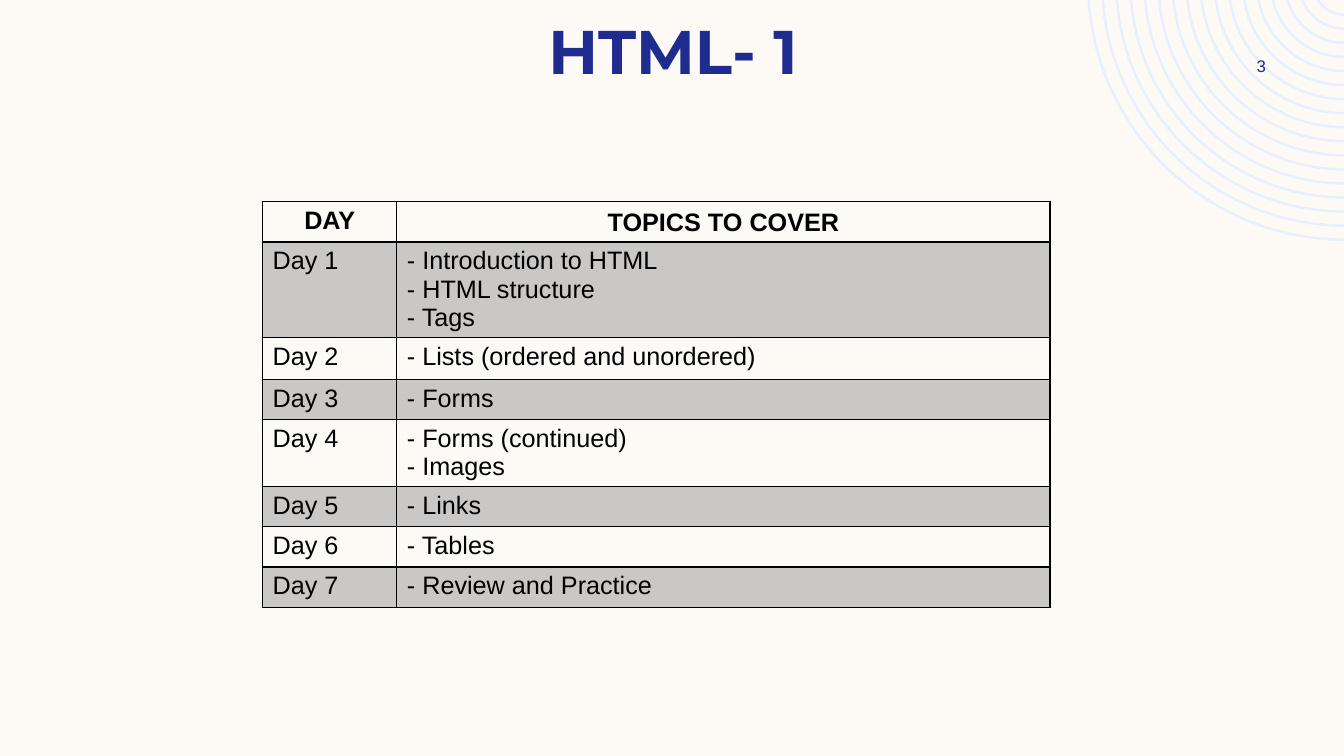
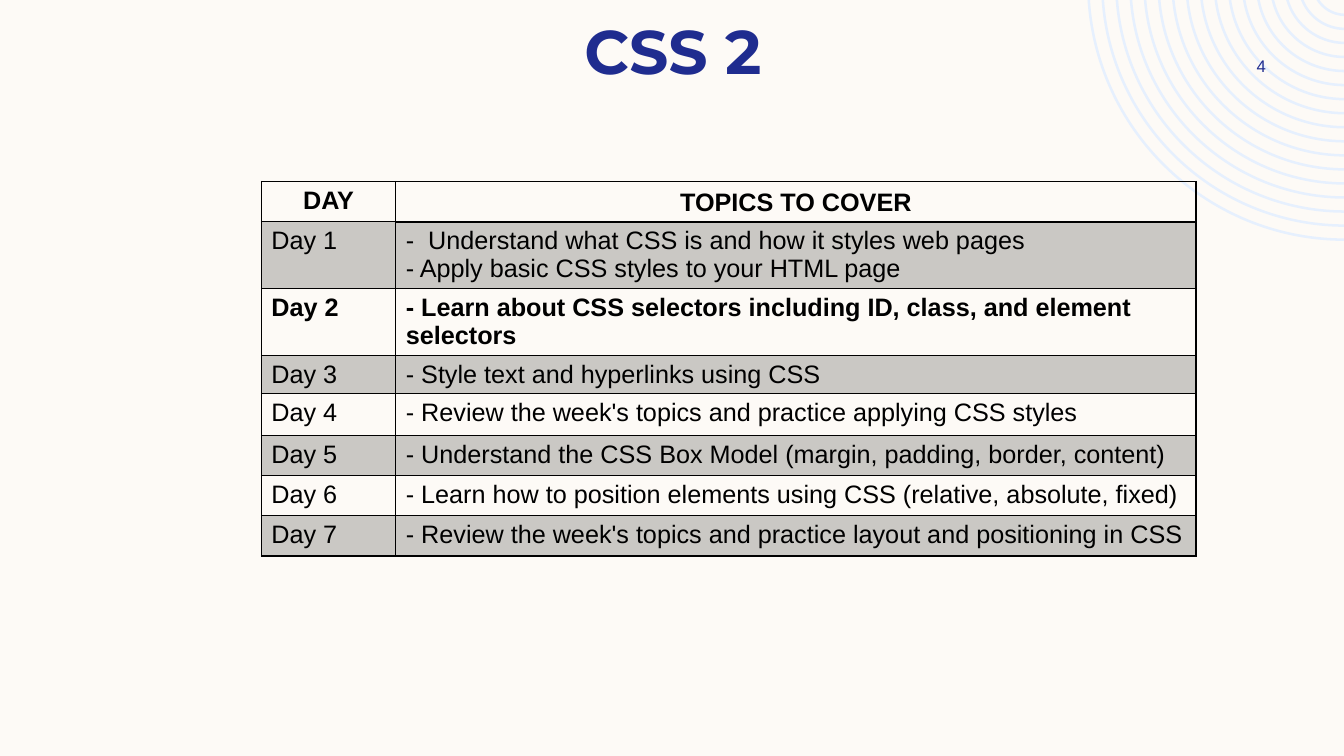
from math import acos, asin, cos, sin, tan

from lxml.etree import SubElement
from pptx import Presentation
from pptx.dml.color import RGBColor
from pptx.enum.text import MSO_ANCHOR as ANCHOR, PP_ALIGN as ALIGN
from pptx.oxml.ns import qn
from pptx.util import Inches, Pt

# Shared style
CREAM = RGBColor(0xFD, 0xFA, 0xF6)
NAVY = RGBColor(0x1F, 0x2C, 0x8F)
PALE_BLUE = RGBColor(0xE6, 0xF0, 0xFE)
BLACK = RGBColor(0x00, 0x00, 0x00)
TITLE_FONT, BODY_FONT = "Montserrat", "Arial"
W, H = Inches(13.33), Inches(7.5)

# Corner rings
RING_COUNT = 17
RING_X, RING_Y = Inches(13.34), Inches(-0.17)
RING_MIN, RING_MAX, RING_WIDTH = Inches(0.33), Inches(2.56), Pt(1.8)

# Content: one list of topic lines per day
HTML_DAYS = [
    ["- Introduction to HTML", "- HTML structure", "- Tags"],
    ["- Lists (ordered and unordered)"],
    ["- Forms"],
    ["- Forms (continued)", "- Images"],
    ["- Links"],
    ["- Tables"],
    ["- Review and Practice"],
]
CSS_DAYS = [
    ["-  Understand what CSS is and how it styles web pages",
     "- Apply basic CSS styles to your HTML page"],
    ["- Learn about CSS selectors including ID, class, and element selectors"],
    ["- Style text and hyperlinks using CSS"],
    ["- Review the week's topics and practice applying CSS styles"],
    ["- Understand the CSS Box Model (margin, padding, border, content)"],
    ["- Learn how to position elements using CSS (relative, absolute, fixed)"],
    ["- Review the week's topics and practice layout and positioning in CSS"],
]


def px(share):
    """Percent of the slide's width."""
    return int(W * share / 100)


def py(share):
    """Percent of the slide's height."""
    return int(H * share / 100)


def add_text(tf, lines, size, font, color, bold=False, align=ALIGN.LEFT):
    for i, line in enumerate(lines):
        p = tf.paragraphs[0] if i == 0 else tf.add_paragraph()
        p.alignment = align
        r = p.add_run()
        r.text = line
        r.font.size, r.font.name, r.font.bold = Pt(size), font, bold
        r.font.color.rgb = color


def add_label(s, left, top, width, height, text, size, font, bold, anchor):
    tf = s.shapes.add_textbox(px(left), py(top), px(width), py(height)).text_frame
    tf.word_wrap = True
    tf.vertical_anchor = anchor
    add_text(tf, [text], size, font, NAVY, bold, ALIGN.CENTER)


def arc(radius):
    """Bezier points of the part of a circle that lies on the slide."""
    a, b = asin(-RING_Y / radius), acos((RING_X - W) / radius)
    k = radius * 4 / 3 * tan((b - a) / 4)
    x0, y0 = RING_X - radius * cos(a), RING_Y + radius * sin(a)
    x1, y1 = RING_X - radius * cos(b), RING_Y + radius * sin(b)
    return [(x0, y0), (x0 + k * sin(a), y0 + k * cos(a)),
            (x1 - k * sin(b), y1 - k * cos(b)), (x1, y1)]


def bend(line, points, sp):
    """Turn a straight segment of the freeform into a curve."""
    curve = line.makeelement(qn("a:cubicBezTo"))
    for x, y in points:
        SubElement(curve, qn("a:pt"), x=str(round(x - sp.left)), y=str(round(y - sp.top)))
    line.getparent().replace(line, curve)


def add_rings(s):
    builder, arcs = None, []
    for i in range(RING_COUNT):
        radius = RING_MIN + (RING_MAX - RING_MIN) * i / (RING_COUNT - 1)
        outer, inner = arc(radius), arc(radius - RING_WIDTH)[::-1]
        arcs += [outer, inner]
        if builder is None:
            builder = s.shapes.build_freeform(*outer[0])
        else:
            builder.move_to(*outer[0])
        builder.add_line_segments([outer[-1], inner[0], inner[-1]], close=True)
    sp = builder.convert_to_shape()
    # Segments per ring: outer arc, short edge, inner arc
    lines = list(sp._element.iter(qn("a:lnTo")))
    curved = [line for i, line in enumerate(lines) if i % 3 != 1]
    for line, points in zip(curved, arcs):
        bend(line, points[1:], sp)
    sp.shadow.inherit = False
    sp.fill.solid()
    sp.fill.fore_color.rgb = PALE_BLUE
    sp.line.fill.background()


def add_border(cell, side, width):
    ln = SubElement(cell._tc.get_or_add_tcPr(), qn(f"a:ln{side}"), w=str(Pt(width)))
    fill = SubElement(ln, qn("a:solidFill"))
    SubElement(fill, qn("a:srgbClr"), val=str(BLACK))


def fill_cell(cell, shaded):
    if not shaded:
        cell.fill.background()
        return
    cell.fill.solid()
    cell.fill.fore_color.rgb = BLACK
    color = cell._tc.tcPr.find(qn("a:solidFill")).find(qn("a:srgbClr"))
    SubElement(color, qn("a:alpha"), val="20000")


def add_schedule(s, left, top, topics_width, days, heights, bold_day=None):
    widths = [10, topics_width]
    rows = [(["DAY"], ["TOPICS TO COVER"])]
    rows += [([f"Day {n}"], topics) for n, topics in enumerate(days, 1)]
    table = s.shapes.add_table(len(rows), 2, px(left), py(top),
                               px(sum(widths)), py(sum(heights))).table
    table.first_row = table.horz_banding = False
    for column, width in zip(table.columns, widths):
        column.width = px(width)
    for i, (row, height) in enumerate(zip(rows, heights)):
        table.rows[i].height = py(height)
        header = i == 0
        for j, lines in enumerate(row):
            cell = table.cell(i, j)
            add_text(cell.text_frame, lines, 18, BODY_FONT, BLACK,
                     header or i == bold_day, ALIGN.CENTER if header else ALIGN.LEFT)
            topics_header = header and j == 1
            cell.vertical_anchor = ANCHOR.BOTTOM if topics_header else ANCHOR.TOP
            if not header:
                cell.margin_bottom = 0
            for side in "LRTB":
                add_border(cell, side, 2 if topics_header and side == "B" else 1)
            fill_cell(cell, i % 2 == 1)


def add_page(prs, title, number):
    s = prs.slides.add_slide(prs.slide_layouts[6])
    add_rings(s)
    add_label(s, 6.3, 1.07, 87.55, 11.2, title, 44, TITLE_FONT, True, ANCHOR.TOP)
    add_label(s, 89.8, 6.67, 8.1, 4, str(number), 12, BODY_FONT, False, ANCHOR.MIDDLE)
    return s


def main():
    prs = Presentation()
    prs.slide_width, prs.slide_height = W, H
    background = prs.slide_master.background.fill
    background.solid()
    background.fore_color.rgb = CREAM

    # HTML schedule
    s = add_page(prs, "HTML- 1", 3)
    add_schedule(s, 19.53, 26.67, 48.6, HTML_DAYS,
                 [5.33, 12.6, 5.47, 5.33, 8.87, 5.33, 5.33, 5.33])

    # CSS schedule
    s = add_page(prs, "CSS 2", 4)
    add_schedule(s, 19.45, 24, 59.55, CSS_DAYS,
                 [5.33, 8.87, 8.8, 5.1, 5.47, 5.33, 5.33, 5.33], bold_day=2)

    prs.save("out.pptx")


if __name__ == "__main__":
    main()
